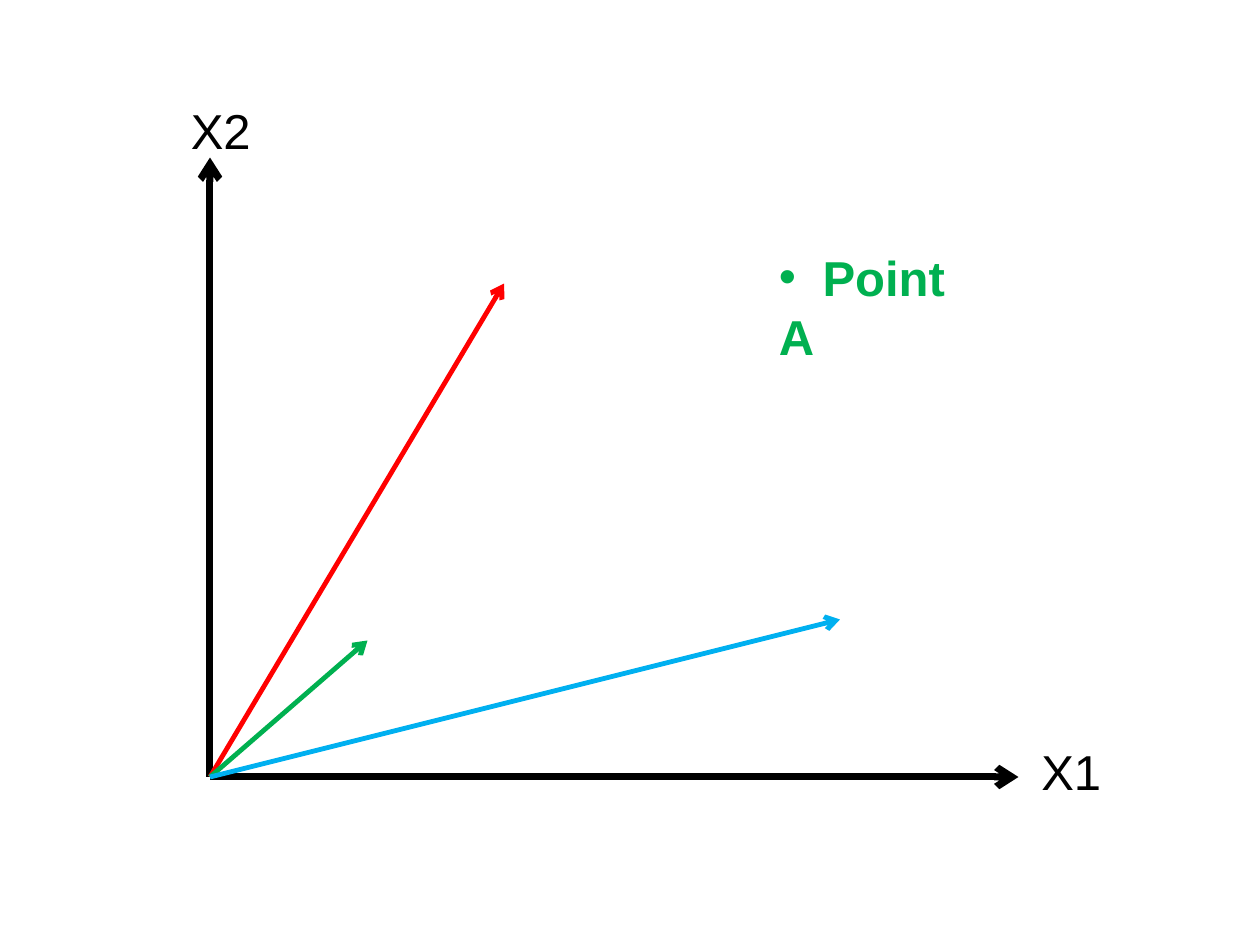
from lxml import etree
from pptx import Presentation
from pptx.dml.color import RGBColor
from pptx.enum.shapes import MSO_CONNECTOR
from pptx.enum.text import MSO_AUTO_SIZE
from pptx.oxml.ns import qn
from pptx.util import Pt

STRAIGHT = MSO_CONNECTOR.STRAIGHT
FIT_SHAPE = MSO_AUTO_SIZE.SHAPE_TO_FIT_TEXT
BLANK_LAYOUT = 6
COLORS = {"axis": "000000", "red": "FF0000", "green": "00B050", "blue": "00B0F0"}
ORIGIN = (120, 444)


class VectorSlide:
    font_name = "Arial"
    font_size = 28
    label_height = 41
    bullet_gap = 25
    axis_width = 4
    vector_width = 2.75

    def __init__(self, presentation):
        layout = presentation.slide_layouts[BLANK_LAYOUT]
        self.slide = presentation.slides.add_slide(layout)

    def arrow(self, end, color, width):
        """Draw an arrow from the origin of the axes to end."""
        points = [Pt(value) for value in (*ORIGIN, *end)]
        connector = self.slide.shapes.add_connector(STRAIGHT, *points)
        connector.line.color.rgb = RGBColor.from_string(COLORS[color])
        connector.line.width = Pt(width)
        line = connector.line._get_or_add_ln()
        etree.SubElement(line, qn("a:tailEnd"), type="arrow")
        etree.SubElement(connector._element.spPr, qn("a:effectLst"))

    def axis(self, end):
        self.arrow(end, "axis", self.axis_width)

    def vector(self, end, color):
        self.arrow(end, color, self.vector_width)

    def label(self, text, left, top, width, color="axis", bold=False):
        box = self.slide.shapes.add_textbox(
            Pt(left), Pt(top), Pt(width), Pt(self.label_height))
        frame = box.text_frame
        frame.word_wrap = True
        frame.auto_size = FIT_SHAPE
        paragraph = frame.paragraphs[0]
        run = paragraph.add_run()
        run.text = text
        run.font.name = self.font_name
        run.font.size = Pt(self.font_size)
        run.font.bold = bold
        run.font.color.rgb = RGBColor.from_string(COLORS[color])
        return paragraph

    def bullet_label(self, text, left, top, width, color):
        """Add a bold label whose wrapped lines start under the bullet."""
        paragraph = self.label("\t" + text, left, top, width, color, bold=True)
        properties = paragraph._p.get_or_add_pPr()
        etree.SubElement(properties, qn("a:buFont"), typeface=self.font_name)
        etree.SubElement(properties, qn("a:buChar"), char="•")
        tabs = etree.SubElement(properties, qn("a:tabLst"))
        etree.SubElement(tabs, qn("a:tab"), pos=str(Pt(self.bullet_gap)), algn="l")


def main():
    presentation = Presentation()
    presentation.slide_width = Pt(720)
    presentation.slide_height = Pt(540)

    plot = VectorSlide(presentation)
    plot.axis((120, 90))
    plot.axis((582, 444))
    plot.vector((288, 162), "red")
    plot.vector((210, 366), "green")
    plot.label("X2", 102, 54, 66)
    plot.label("X1", 588, 420, 72)
    plot.bullet_label("Point A", 438, 138, 122, "green")
    plot.vector((480, 354), "blue")

    presentation.save("out.pptx")


if __name__ == "__main__":
    main()
